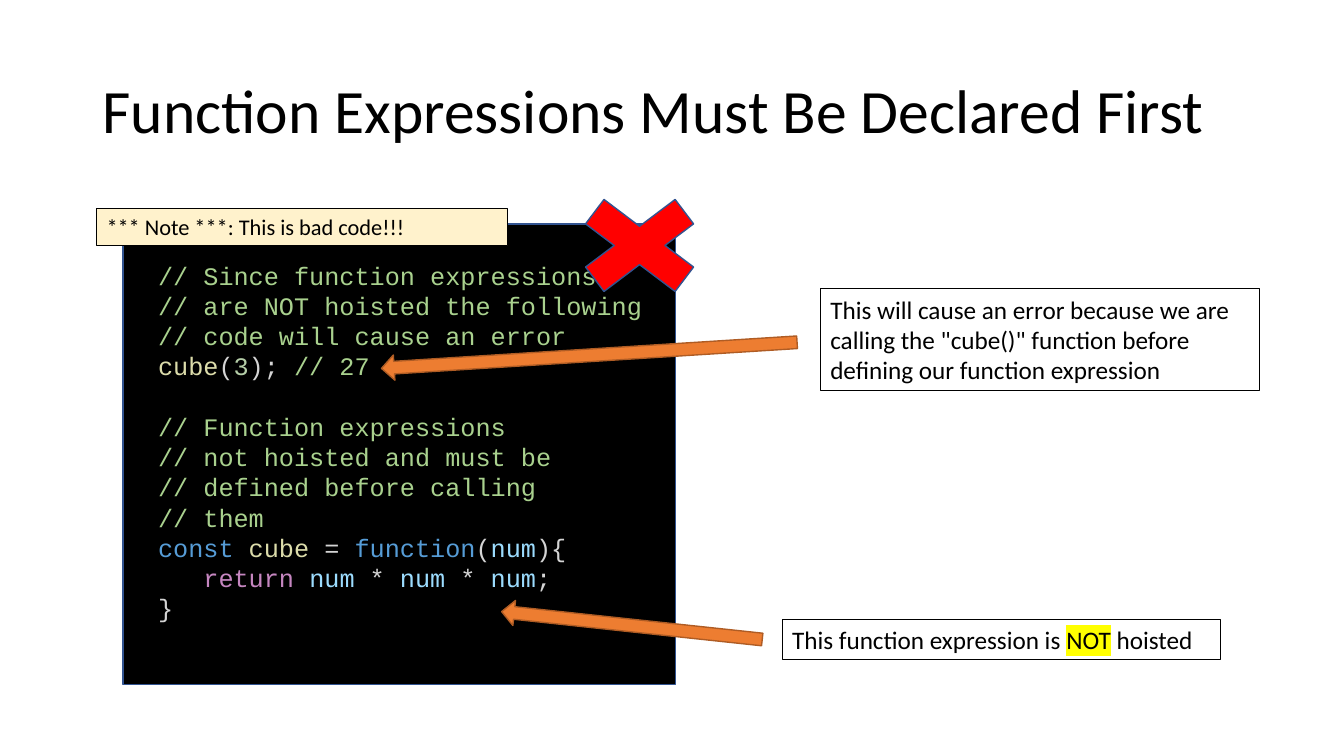
"""Build the slide on function expressions that must be declared first."""
from lxml.etree import SubElement
from pptx import Presentation
from pptx.dml.color import RGBColor
from pptx.enum.shapes import MSO_SHAPE as Shape
from pptx.enum.text import MSO_ANCHOR as Anchor, PP_ALIGN as Align
from pptx.oxml.ns import qn
from pptx.util import Pt

BLACK = RGBColor(0x00, 0x00, 0x00)
RED = RGBColor(0xFF, 0x00, 0x00)
YELLOW = RGBColor(0xFF, 0xFF, 0x00)
CREAM = RGBColor(0xFF, 0xF2, 0xCC)
ORANGE = RGBColor(0xED, 0x7D, 0x31)
BROWN = RGBColor(0xAF, 0x5C, 0x24)
NAVY = RGBColor(0x32, 0x54, 0x91)
COMMENT = RGBColor(0xA9, 0xD1, 0x8E)
NAME = RGBColor(0xDC, 0xDC, 0xAA)
PLAIN = RGBColor(0xD4, 0xD4, 0xD4)
NUMBER = RGBColor(0xB5, 0xCE, 0xA8)
KEYWORD = RGBColor(0x56, 0x9C, 0xD6)
VARIABLE = RGBColor(0x9C, 0xDC, 0xFE)
CONTROL = RGBColor(0xC5, 0x86, 0xC0)

TITLE = "Function Expressions Must Be Declared First"
CALL_CODE = [
    [("// Since function expressions", COMMENT)],
    [("// are NOT hoisted the following", COMMENT)],
    [("// code will cause an error", COMMENT)],
    [("cube", NAME), ("(", PLAIN), ("3", NUMBER), ("); ", PLAIN), ("// 27", COMMENT)],
]
DEFINITION_CODE = [
    [("// Function expressions", COMMENT)],
    [("// not hoisted and must be", COMMENT)],
    [("// defined before calling", COMMENT)],
    [("// them", COMMENT)],
    [("const ", KEYWORD), ("cube", NAME), (" = ", PLAIN), ("function", KEYWORD),
     ("(", PLAIN), ("num", VARIABLE), ("){", PLAIN)],
    [("   return ", CONTROL), ("num", VARIABLE), (" * ", PLAIN), ("num", VARIABLE),
     (" * ", PLAIN), ("num", VARIABLE), (";", PLAIN)],
    [("}", PLAIN)],
]
ERROR_TEXT = [('This will cause an error because we are calling the "cube()" '
               'function before defining our function expression', None)]
HOISTED_TEXT = [("This function expression is ", None), ("NOT", YELLOW), (" hoisted", None)]
NOTE_TEXT = [("*** Note ***: This is bad code!!!", None)]

TITLE_PLACE = (66, 28.8, 828, 104.4)
PANEL_PLACE = (88, 160, 394.5, 329)
CODE_PLACE = (105.8, 182.2, 480, 269)
CROSS_PLACE = (395.3, 128.9, 123.1, 92.9)
NOTE_PLACE = (69, 149, 293.8, 26.6)
ERROR_PLACE = (586, 206.4, 313.4, 72.7)
HOISTED_PLACE = (558.7, 442.3, 313.4, 29.1)
ARROWS = [((272.2, 244.8, 297.4, 18), 176.4), ((357.8, 437.8, 187.2, 18), 186.1)]
LINE_PITCH = 21.6


def style(target, values):
    for key, value in values.items():
        setattr(target, key, value)


def add_span(para, text, font, size, color):
    span = para.add_run()
    span.text = text
    style(span.font, {"name": font, "size": Pt(size)})
    span.font.color.rgb = color
    return span


def highlight(span, color):
    mark = SubElement(span.font._element, qn("a:highlight"))
    SubElement(mark, qn("a:srgbClr")).set("val", str(color))
    span.font._element.find(qn("a:solidFill")).addnext(mark)


def add_figure(page, kind, place, fill, line, width, rotation=0):
    figure = page.shapes.add_shape(kind, *map(Pt, place))
    figure.shadow.inherit = False
    figure.rotation = rotation
    if fill is None:
        figure.fill.background()
    else:
        figure.fill.solid()
        figure.fill.fore_color.rgb = fill
    figure.line.color.rgb = line
    figure.line.width = Pt(width)
    return figure


def add_label(page, place, spans, size=18, fill=None):
    box = add_figure(page, Shape.RECTANGLE, place, fill, BLACK, 0.75)
    style(box.text_frame, {"word_wrap": True, "vertical_anchor": Anchor.TOP})
    para = box.text_frame.paragraphs[0]
    para.alignment = Align.LEFT
    for text, mark in spans:
        span = add_span(para, text, "Calibri", size, BLACK)
        if mark is not None:
            highlight(span, mark)


def add_code(page):
    frame = page.shapes.add_textbox(*map(Pt, CODE_PLACE)).text_frame
    frame.word_wrap = True
    for index, line in enumerate(CALL_CODE + DEFINITION_CODE):
        para = frame.add_paragraph() if index else frame.paragraphs[0]
        gap = LINE_PITCH if index == len(CALL_CODE) else 0
        style(para, {"line_spacing": Pt(LINE_PITCH), "space_before": Pt(gap)})
        for text, color in line:
            add_span(para, text, "Courier New", 18, color)


def add_title(page):
    title = page.shapes.title
    style(title, dict(zip(("left", "top", "width", "height"), map(Pt, TITLE_PLACE))))
    style(title.text_frame, {"word_wrap": True, "vertical_anchor": Anchor.MIDDLE})
    para = title.text_frame.paragraphs[0]
    style(para, {"alignment": Align.LEFT, "line_spacing": 0.9})
    add_span(para, TITLE, "Calibri", 44, BLACK)


deck = Presentation()
style(deck, {"slide_width": Pt(960), "slide_height": Pt(540)})
page = deck.slides.add_slide(deck.slide_layouts[5])
add_title(page)
add_figure(page, Shape.RECTANGLE, PANEL_PLACE, BLACK, NAVY, 1)
add_label(page, ERROR_PLACE, ERROR_TEXT)
add_label(page, HOISTED_PLACE, HOISTED_TEXT)
for place, rotation in ARROWS:
    add_figure(page, Shape.RIGHT_ARROW, place, ORANGE, BROWN, 1, rotation)
add_code(page)
add_figure(page, Shape.MATH_MULTIPLY, CROSS_PLACE, RED, NAVY, 1)
add_label(page, NOTE_PLACE, NOTE_TEXT, 16, CREAM)
deck.save("out.pptx")
